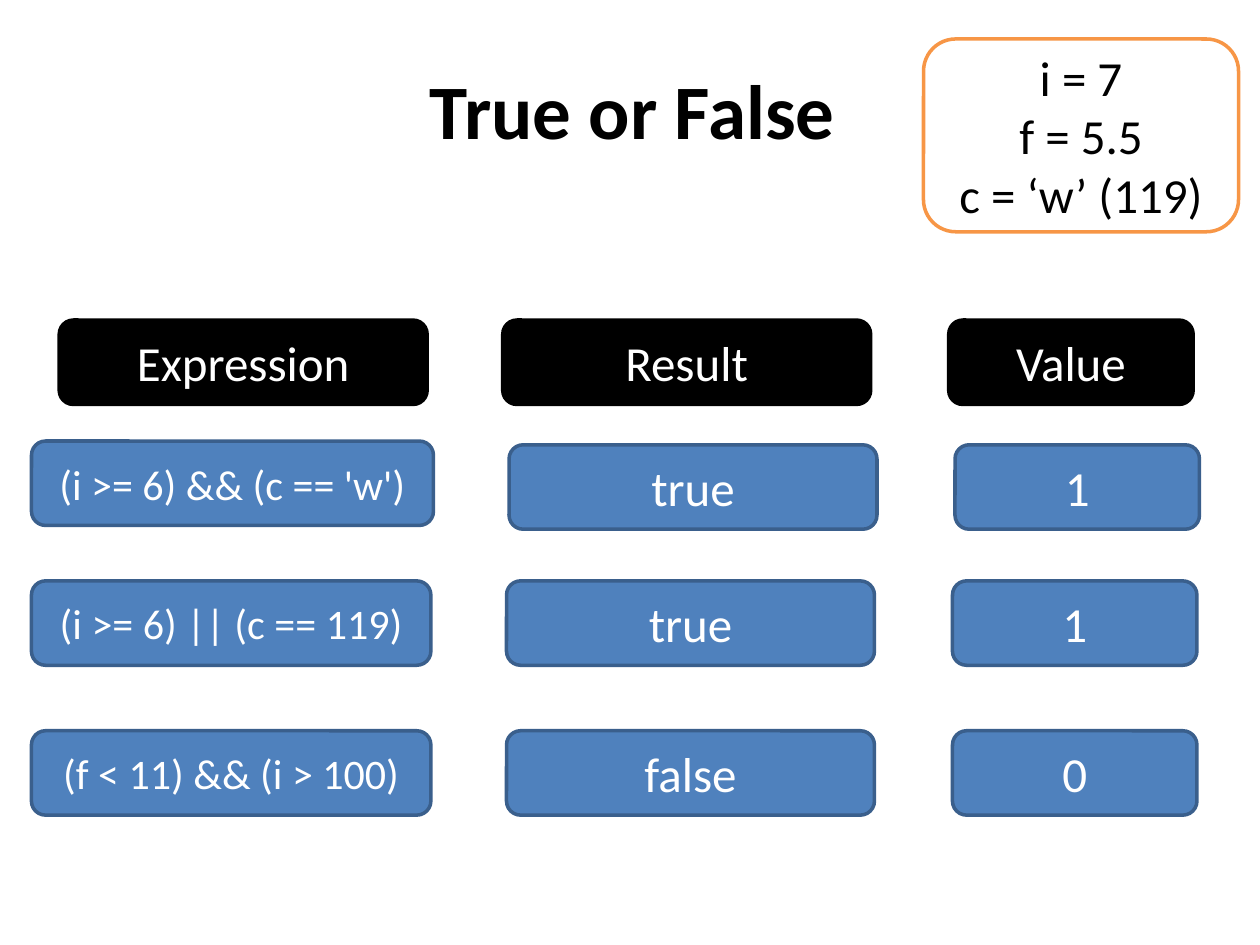
import dataclasses

import pptx
import pptx.dml.color
import pptx.enum.shapes
import pptx.enum.text
import pptx.util

HUE = {"black": "000000", "white": "FFFFFF", "blue": "4F81BD",
       "navy": "3A5F8C", "orange": "F79646"}
FONT = "Calibri"
WIDE, HIGH = pptx.util.Inches(10), pptx.util.Inches(7.5)


@dataclasses.dataclass(frozen=True)
class Box:
    """Left and width in percent of slide width, top and height of its height."""
    left: float
    top: float
    width: float
    height: float


@dataclasses.dataclass(frozen=True)
class Look:
    fill: str
    line: str
    text: str


@dataclasses.dataclass(frozen=True)
class Col:
    left: float
    width: float
    size: int = 28


@dataclasses.dataclass(frozen=True)
class Row:
    """Nudge moves the answers right and widens the expression; lift raises it."""
    top: float
    cells: tuple[str, str, str]
    nudge: float = 0
    lift: float = 0


DARK = Look("black", "black", "white")
BLUE = Look("blue", "navy", "white")
NOTE = Look("white", "orange", "black")

CELL = 8.93
HEADS = (Col(4.7, 29.2), Col(39.9, 29.2), Col(75.3, 19.4))
COLS = (Col(2.5, 31.7, 24), Col(40.2, 29.2), Col(75.6, 19.4))
ROWS = (
    Row(47.07, ("(i >= 6) && (c == 'w')", "true", "1"), 0.2, 0.4),
    Row(61.47, ("(i >= 6) || (c == 119)", "true", "1")),
    Row(77.33, ("(f < 11) && (i > 100)", "false", "0")),
)


def rgb(name: str) -> pptx.dml.color.RGBColor:
    return pptx.dml.color.RGBColor.from_string(HUE[name])


def place(shape, box: Box) -> None:
    shape.left, shape.width = (int(WIDE * n / 100) for n in (box.left, box.width))
    shape.top, shape.height = (int(HIGH * n / 100) for n in (box.top, box.height))


def write(shape, text: str, size: int, hue: str, bold: bool = False) -> None:
    frame = shape.text_frame
    frame.text = text
    frame.word_wrap = True
    frame.vertical_anchor = pptx.enum.text.MSO_ANCHOR.MIDDLE
    for para in frame.paragraphs:
        para.alignment = pptx.enum.text.PP_ALIGN.CENTER
        for run in para.runs:
            run.font.name = FONT
            run.font.size = pptx.util.Pt(size)
            run.font.bold = bold
            run.font.color.rgb = rgb(hue)


def card(slide, box: Box, text: str, look: Look, size: int = 28) -> None:
    kind = pptx.enum.shapes.MSO_SHAPE.ROUNDED_RECTANGLE
    shape = slide.shapes.add_shape(kind, 0, 0, 0, 0)
    place(shape, box)
    shape.shadow.inherit = False
    shape.fill.solid()
    shape.fill.fore_color.rgb = rgb(look.fill)
    shape.line.color.rgb = rgb(look.line)
    shape.line.width = pptx.util.Pt(2)
    write(shape, text, size, look.text)


def line_up(slide, row: Row) -> None:
    """Draw one row: its expression, then its result and value."""
    first, *rest = COLS
    box = Box(first.left, row.top - row.lift, first.width + row.nudge, CELL)
    card(slide, box, row.cells[0], BLUE, first.size)
    for col, text in zip(rest, row.cells[1:]):
        box = Box(col.left + row.nudge, row.top, col.width, CELL)
        card(slide, box, text, BLUE, col.size)


def main() -> None:
    deck = pptx.Presentation()
    deck.slide_width, deck.slide_height = WIDE, HIGH
    slide = deck.slides.add_slide(deck.slide_layouts[5])

    title = slide.shapes.title
    place(title, Box(5.2, 4, 90, 14.93))
    write(title, "True or False", 44, "black", bold=True)

    for col, text in zip(HEADS, ("Expression", "Result", "Value")):
        card(slide, Box(col.left, 33.87, col.width, CELL), text, DARK, col.size)
    for row in ROWS:
        line_up(slide, row)
    card(slide, Box(73.3, 4.13, 25, 20.4), "i = 7\nf = 5.5\nc = ‘w’ (119)", NOTE)

    deck.save("out.pptx")


if __name__ == "__main__":
    main()
